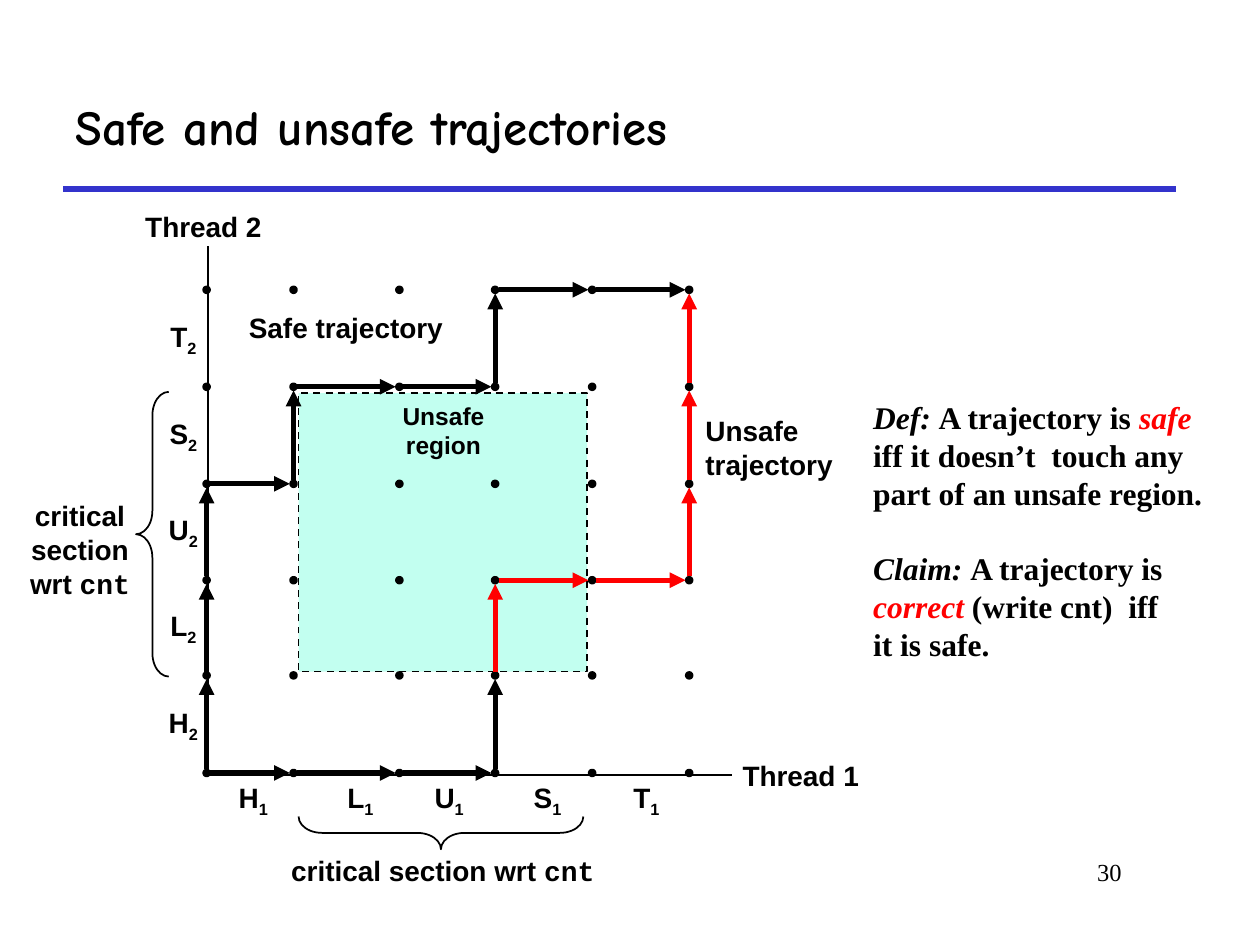
"""Build the slide on safe and unsafe thread trajectories."""
from itertools import pairwise, product
from typing import NamedTuple

from pptx import Presentation
from pptx.dml.color import RGBColor
from pptx.enum.dml import MSO_LINE
from pptx.enum.shapes import MSO_CONNECTOR, MSO_SHAPE
from pptx.enum.text import MSO_ANCHOR, PP_ALIGN
from pptx.oxml.ns import qn
from pptx.shapes.autoshape import Shape
from pptx.shapes.connector import Connector
from pptx.slide import Slide
from pptx.text.text import TextFrame
from pptx.util import Inches, Pt
from lxml.etree import SubElement

BLACK = RGBColor(0x00, 0x00, 0x00)
RED = RGBColor(0xFF, 0x00, 0x00)
RULE_BLUE = RGBColor(0x33, 0x33, 0xCC)
REGION_MINT = RGBColor(0xC2, 0xFF, 0xF0)

WIDTH, HEIGHT = Inches(10), Inches(7.5)
COLUMNS = (16.4, 23.3, 31.7, 39.3, 47, 54.7)
ROWS = (30.67, 40.93, 51.2, 61.4, 71.47, 81.8)
STEP_CENTRES = (20.1, 28.6, 35.65, 43.45, 51.3)
STEPS = "HLUST"
LABEL_WIDTH, LABEL_HEIGHT = 4.4, 4.93
DOT_WIDTH, DOT_HEIGHT = 0.4, 0.53
GAP_X, GAP_Y = 0.3, 0.4


class Point(NamedTuple):
    """A place in percent of the slide's width and height."""
    x: float
    y: float


class Box(NamedTuple):
    """A frame in percent of the slide's width and height."""
    left: float
    top: float
    width: float
    height: float

    def emu(self) -> tuple[int, int, int, int]:
        """Return the frame in slide units."""
        return (across(self.left), down(self.top),
                across(self.width), down(self.height))


class Run(NamedTuple):
    """A stretch of text with what sets it apart."""
    text: str
    color: RGBColor = BLACK
    italic: bool = False
    font: str | None = None
    subscript: bool = False


class Trajectory(NamedTuple):
    """A path through grid nodes, given as column and row."""
    color: RGBColor
    nodes: tuple[tuple[int, int], ...]


class Caption(NamedTuple):
    """A bold label of the diagram."""
    box: Box
    lines: list[list[Run]]
    wrap: bool = False
    align: PP_ALIGN = PP_ALIGN.CENTER
    size: int = 16


CRITICAL = [[Run("critical section wrt "), Run("cnt", font="Courier New")]]
CAPTIONS = (
    Caption(Box(1.2, 52.13, 10.3, 12), CRITICAL, wrap=True),
    Caption(Box(22, 89.6, 26.3, 4.93), CRITICAL),
    Caption(Box(57.9, 79.6, 11.3, 4.93), [[Run("Thread 1")]]),
    Caption(Box(10.5, 21.47, 11.3, 4.93), [[Run("Thread 2")]]),
    Caption(Box(18.7, 32.13, 17.5, 4.93), [[Run("Safe trajectory")]]),
    Caption(Box(29.2, 42, 12, 7.1), [[Run("Unsafe region")]], wrap=True, size=14),
    Caption(Box(55, 43.07, 12.1, 8.53), [[Run("Unsafe")], [Run("trajectory")]],
            align=PP_ALIGN.LEFT),
)
TRAJECTORIES = (
    Trajectory(BLACK, ((0, 5), (0, 4), (0, 3), (0, 2), (1, 2), (1, 1),
                       (2, 1), (3, 1), (3, 0), (4, 0), (5, 0))),
    Trajectory(BLACK, ((0, 5), (1, 5), (2, 5), (3, 5), (3, 4))),
    Trajectory(RED, ((3, 4), (3, 3), (4, 3), (5, 3), (5, 2), (5, 1), (5, 0))),
)
DEFINITION = [
    [Run("Def: ", italic=True), Run("A trajectory is "), Run("safe", RED, True)],
    [Run("iff it doesn’t  touch any")],
    [Run("part of an unsafe region.")],
]
CLAIM = [
    [Run("Claim: ", italic=True), Run("A trajectory is")],
    [Run("correct", RED, True), Run(" (write cnt)  iff")],
    [Run("it is safe.")],
]


def across(share: float) -> int:
    """Turn a percentage of the slide's width into slide units."""
    return round(WIDTH * share / 100)


def down(share: float) -> int:
    """Turn a percentage of the slide's height into slide units."""
    return round(HEIGHT * share / 100)


def write(frame: TextFrame, lines: list[list[Run]], *, size: int = 16,
          font: str = "Arial", bold: bool = True, wrap: bool = False,
          align: PP_ALIGN = PP_ALIGN.CENTER,
          anchor: MSO_ANCHOR = MSO_ANCHOR.MIDDLE) -> None:
    """Fill a text frame with formatted lines."""
    frame.word_wrap = wrap
    frame.vertical_anchor = anchor
    for number, line in enumerate(lines):
        paragraph = frame.add_paragraph() if number else frame.paragraphs[0]
        paragraph.alignment = align
        for part in line:
            run = paragraph.add_run()
            run.text = part.text
            run.font.name = part.font or font
            run.font.size = Pt(size)
            run.font.bold = bold
            run.font.italic = part.italic
            run.font.color.rgb = part.color
            if part.subscript:
                run.font._element.set("baseline", "-25000")


def add_text(slide: Slide, box: Box, lines: list[list[Run]], **style) -> None:
    """Add a text box with formatted lines."""
    write(slide.shapes.add_textbox(*box.emu()).text_frame, lines, **style)


def add_outline(slide: Slide, kind: MSO_SHAPE, box: Box, weight: float,
                fill: RGBColor | None = None) -> Shape:
    """Add a black-edged preset shape."""
    shape = slide.shapes.add_shape(kind, *box.emu())
    shape.shadow.inherit = False
    shape.line.color.rgb = BLACK
    shape.line.width = Pt(weight)
    if fill is None:
        shape.fill.background()
    else:
        shape.fill.solid()
        shape.fill.fore_color.rgb = fill
    return shape


def add_line(slide: Slide, start: Point, end: Point, color: RGBColor,
             weight: float) -> Connector:
    """Add a straight line without shadow."""
    line = slide.shapes.add_connector(
        MSO_CONNECTOR.STRAIGHT, across(start.x), down(start.y),
        across(end.x), down(end.y))
    line.line.color.rgb = color
    line.line.width = Pt(weight)
    SubElement(line._element.spPr, qn("a:effectLst"))
    return line


def add_trajectory(slide: Slide, trajectory: Trajectory) -> None:
    """Draw one arrow between each pair of neighbouring nodes."""
    for (col, row), (next_col, next_row) in pairwise(trajectory.nodes):
        gap_x, gap_y = GAP_X * (next_col - col), GAP_Y * (next_row - row)
        start = Point(COLUMNS[col] + gap_x, ROWS[row] + gap_y)
        end = Point(COLUMNS[next_col] - gap_x, ROWS[next_row] - gap_y)
        arrow = add_line(slide, start, end, trajectory.color, 3)
        SubElement(arrow.line._get_or_add_ln(), qn("a:tailEnd"), type="triangle")


def add_statements(slide: Slide) -> None:
    """Fill the title and body placeholders."""
    title, body = slide.placeholders
    title.left, title.top, title.width, title.height = Box(5, 6.67, 88.3, 13.33).emu()
    write(title.text_frame, [[Run("Safe and unsafe trajectories")]], size=28,
          font="Comic Neue", wrap=True, align=PP_ALIGN.LEFT)
    body.left, body.top, body.width, body.height = Box(68.3, 33.33, 30, 49.6).emu()
    frame = body.text_frame
    write(frame, DEFINITION + CLAIM, size=18, font="Times New Roman",
          wrap=True, align=PP_ALIGN.LEFT)
    frame.margin_top, frame.margin_bottom = 0, Inches(0.3)
    for number, paragraph in enumerate(frame.paragraphs):
        properties = paragraph._p.get_or_add_pPr()
        properties.set("marL", "0")
        properties.set("indent", "0")
        SubElement(properties, qn("a:buNone"))
        paragraph.line_spacing = Pt(21.6)
        paragraph.space_before = Pt(21.6 if number == len(DEFINITION) else 0)


def add_diagram(slide: Slide) -> None:
    """Draw the progress graph of both threads."""
    region = add_outline(slide, MSO_SHAPE.RECTANGLE, Box(23.7, 41.6, 22.9, 29.47),
                         1, REGION_MINT)
    region.line.dash_style = MSO_LINE.DASH
    origin = Point(16.5, 82)
    for end in (Point(58.1, origin.y), Point(origin.x, 26)):
        add_line(slide, origin, end, BLACK, 1)
    for x, y in product(COLUMNS, ROWS):
        dot = Box(x - DOT_WIDTH / 2, y - DOT_HEIGHT / 2, DOT_WIDTH, DOT_HEIGHT)
        add_outline(slide, MSO_SHAPE.OVAL, dot, 2, BLACK)
    row_centres = [(upper + lower) / 2 for upper, lower in pairwise(ROWS)]
    for step, x, y in zip(STEPS, STEP_CENTRES, reversed(row_centres)):
        places = (Point(x - LABEL_WIDTH / 2, 82.13), Point(12.35, y - LABEL_HEIGHT / 2))
        for thread, place in enumerate(places, start=1):
            add_text(slide, Box(*place, LABEL_WIDTH, LABEL_HEIGHT),
                     [[Run(step), Run(str(thread), subscript=True)]])
    for caption in CAPTIONS:
        add_text(slide, caption.box, caption.lines, wrap=caption.wrap,
                 align=caption.align, size=caption.size)
    for trajectory in TRAJECTORIES:
        add_trajectory(slide, trajectory)
    for left, top, turn in ((10.8, 41.47, 0), (33.7, 73.07, 270)):
        brace = add_outline(slide, MSO_SHAPE.LEFT_BRACE, Box(left, top, 2.6, 30.13), 1)
        brace.adjustments[0] = 0.72
        brace.rotation = turn


def main() -> None:
    """Build and save the presentation."""
    deck = Presentation()
    deck.slide_width, deck.slide_height = WIDTH, HEIGHT
    slide = deck.slides.add_slide(deck.slide_layouts[1])
    add_line(slide, Point(5, 20), Point(93.3, 20), RULE_BLUE, 3)
    add_statements(slide)
    add_diagram(slide)
    add_text(slide, Box(75.8, 90, 14.2, 6.67), [[Run("30")]], size=14,
             font="Times New Roman", bold=False, align=PP_ALIGN.RIGHT,
             anchor=MSO_ANCHOR.TOP, wrap=True)
    deck.save("out.pptx")


if __name__ == "__main__":
    main()
